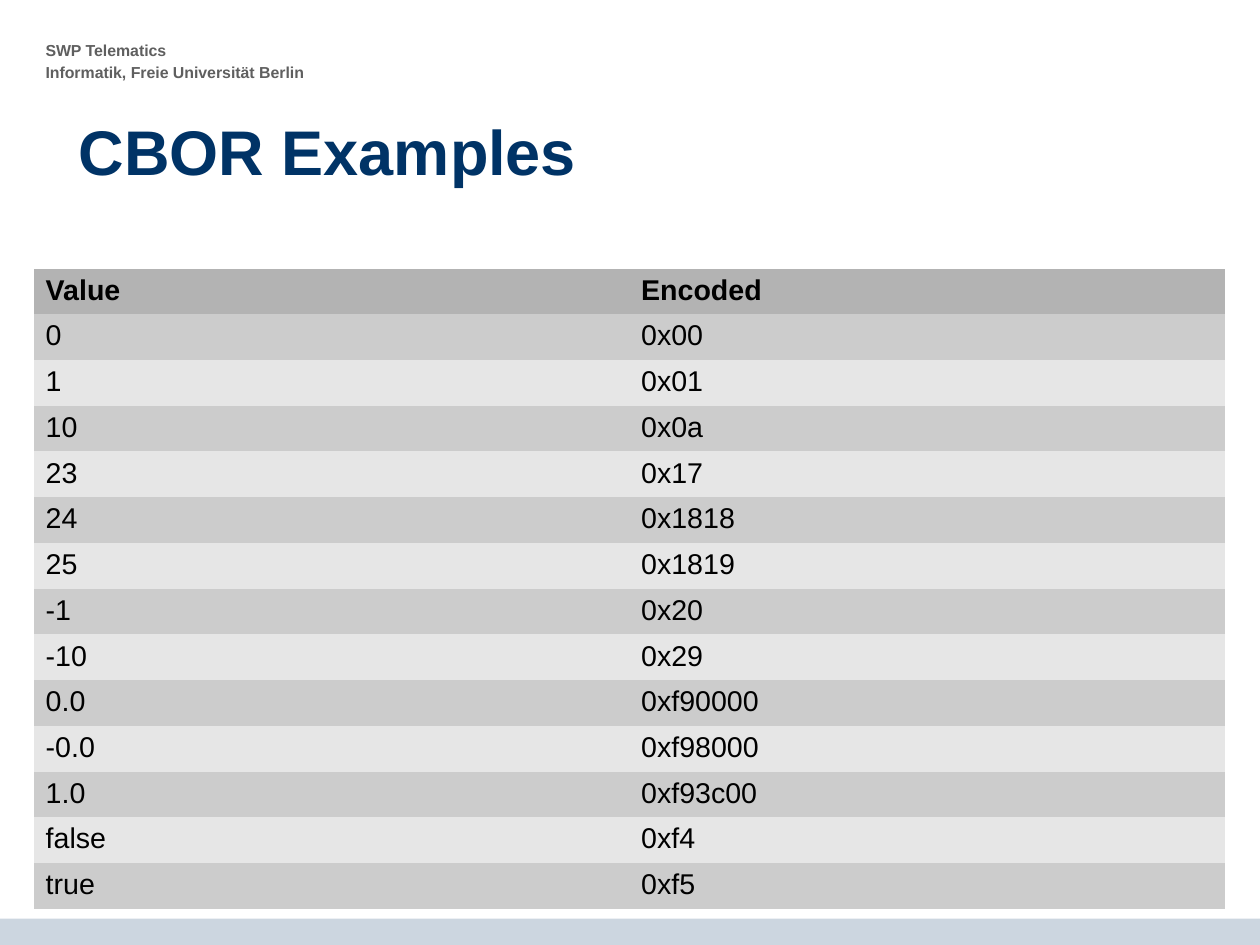
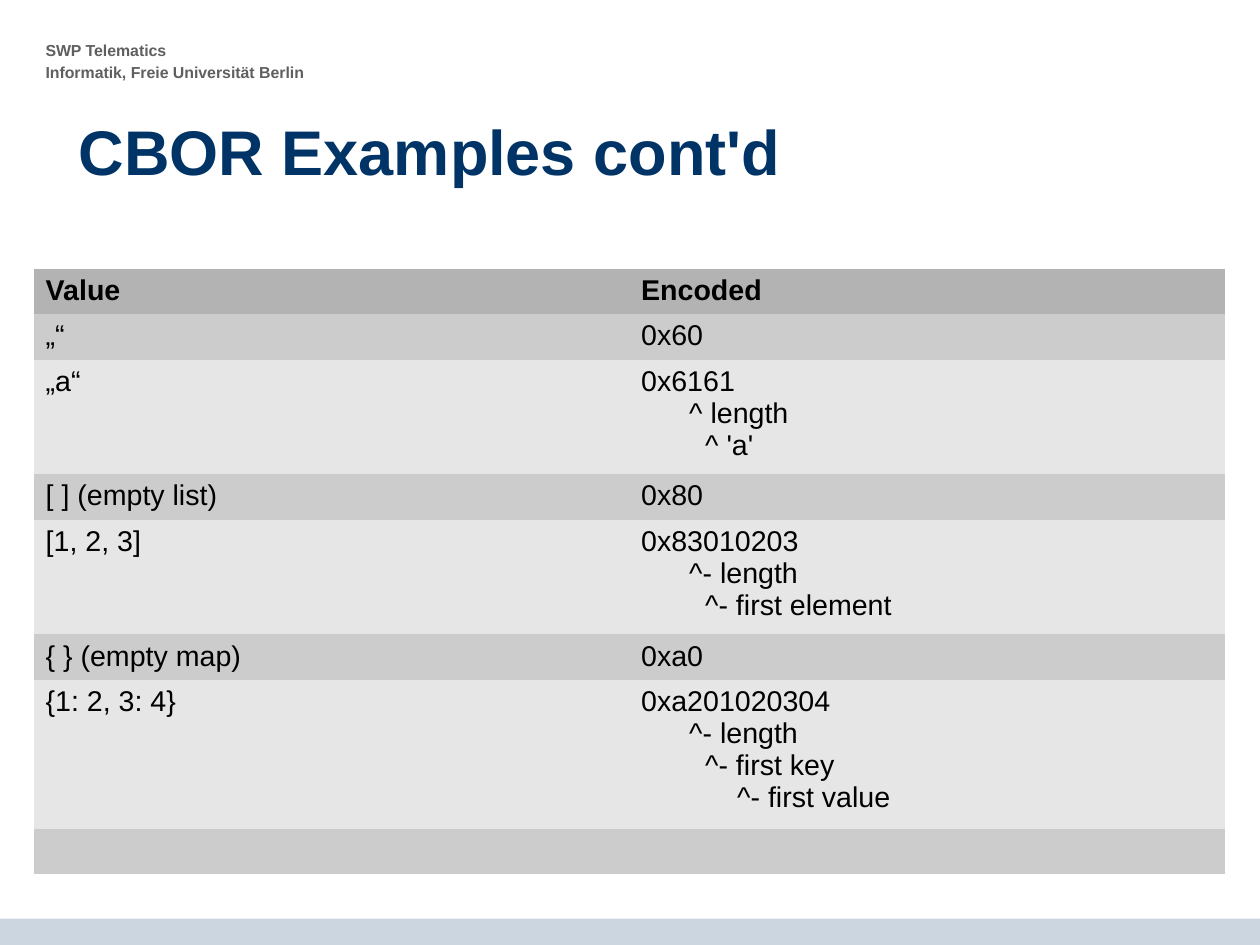
from pptx import Presentation
from pptx.dml.color import RGBColor
from pptx.enum import shapes, text
from pptx.util import Cm, Inches, Pt

FONT = "Arial"
NAVY = RGBColor(0x00, 0x33, 0x66)
GREY = RGBColor(0x5F, 0x5F, 0x5F)
BLACK = RGBColor(0x00, 0x00, 0x00)
BAND_BLUE = RGBColor(0xCC, 0xD6, 0xE0)
HEADER_FILL = RGBColor(0xB3, 0xB3, 0xB3)
ROW_FILLS = RGBColor(0xCC, 0xCC, 0xCC), RGBColor(0xE6, 0xE6, 0xE6)
PLAIN_TABLE_STYLE = "{2D5ABB26-0587-4C30-8999-92F81FD0307C}"

WIDTH, HEIGHT = Cm(28), Cm(21)
MARGIN, CONTENT_WIDTH = 0.3, 10.42
BAND_HEIGHT = Inches(0.23)
TABLE_TOP = 2.35
ROW_HEIGHT, EXTRA_LINE = 0.4, 0.3
INDENT_STEP = 0.14

HEADER_LINES = ["SWP Telematics", "Informatik, Freie Universität Berlin"]
COLUMNS = ("Value", "Encoded")

# Each row: value, encoding, then optional notes as (indent steps, text).
SLIDES = [
    ("CBOR Examples", [
        ("0", "0x00"),
        ("1", "0x01"),
        ("10", "0x0a"),
        ("23", "0x17"),
        ("24", "0x1818"),
        ("25", "0x1819"),
        ("-1", "0x20"),
        ("-10", "0x29"),
        ("0.0", "0xf90000"),
        ("-0.0", "0xf98000"),
        ("1.0", "0xf93c00"),
        ("false", "0xf4"),
        ("true", "0xf5"),
    ]),
    ("CBOR Examples cont'd", [
        ("„“", "0x60"),
        ("„a“", "0x6161", (3, "^ length"), (4, "^ 'a'")),
        ("[ ] (empty list)", "0x80"),
        ("[1, 2, 3]", "0x83010203", (3, "^- length"), (4, "^- first element")),
        ("{ } (empty map)", "0xa0"),
        ("{1: 2, 3: 4}", "0xa201020304",
         (3, "^- length"), (4, "^- first key"), (6, "^- first value")),
        ("", ""),
    ]),
]


def style(paragraph, size, color, bold=False):
    for part in (paragraph, *paragraph.runs):
        part.font.name, part.font.size, part.font.bold = FONT, Pt(size), bold
        part.font.color.rgb = color


def indent(paragraph, inches):
    properties = paragraph._p.get_or_add_pPr()
    properties.set("marL", str(Inches(inches)))
    properties.set("indent", "0")


def add_shared_parts(page):
    """Draw the bottom band and the header, then move them to the page's layout."""
    band = page.shapes.add_shape(
        shapes.MSO_SHAPE.RECTANGLE, 0, HEIGHT - BAND_HEIGHT, WIDTH, BAND_HEIGHT)
    band.shadow.inherit = False
    band.fill.solid()
    band.fill.fore_color.rgb = BAND_BLUE
    band.line.fill.background()

    header = page.shapes.add_textbox(
        Inches(MARGIN), Inches(0.36), Inches(2.49), Inches(0.62))
    frame = header.text_frame
    frame.word_wrap = False
    frame.text = "\n".join(HEADER_LINES)
    for number, paragraph in enumerate(frame.paragraphs):
        paragraph.line_spacing = 0.65
        paragraph.space_before = Pt(6 if number else 0)
        style(paragraph, 10, GREY, bold=True)

    for shape in (band, header):
        page.slide_layout.shapes._spTree.append(shape._element)


def set_title(page, words):
    title = page.shapes.title
    title.left, title.top = Inches(MARGIN), Inches(0.98)
    title.width, title.height = Inches(CONTENT_WIDTH), Inches(0.75)
    frame = title.text_frame
    frame.text = words
    frame.margin_left = frame.margin_right = frame.margin_top = 0
    frame.margin_bottom = Inches(0.08)
    frame.vertical_anchor = text.MSO_ANCHOR.MIDDLE
    frame.auto_size = text.MSO_AUTO_SIZE.NONE
    paragraph = frame.paragraphs[0]
    paragraph.alignment = text.PP_ALIGN.LEFT
    indent(paragraph, 0.39)
    style(paragraph, 39.7, NAVY, bold=True)


def add_examples(page, examples):
    rows = [COLUMNS, *examples]
    heights = [ROW_HEIGHT + EXTRA_LINE * (len(row) - 2) for row in rows]
    table = page.shapes.add_table(
        len(rows), len(COLUMNS), Inches(MARGIN), Inches(TABLE_TOP),
        Inches(CONTENT_WIDTH), Inches(sum(heights))).table
    table._tbl.tblPr.find("{*}tableStyleId").text = PLAIN_TABLE_STYLE

    for number, (value, encoded, *notes) in enumerate(rows):
        table.rows[number].height = Inches(heights[number])
        fill = ROW_FILLS[(number - 1) % 2] if number else HEADER_FILL
        for cell, words in zip(table.rows[number].cells, (value, encoded)):
            cell.text = words
            cell.fill.solid()
            cell.fill.fore_color.rgb = fill
        for steps, note in notes:
            paragraph = cell.text_frame.add_paragraph()
            paragraph.text = note
            indent(paragraph, steps * INDENT_STEP)
        for cell in table.rows[number].cells:
            for paragraph in cell.text_frame.paragraphs:
                style(paragraph, 18, BLACK, bold=number == 0)


def main():
    deck = Presentation()
    deck.slide_width, deck.slide_height = WIDTH, HEIGHT
    title_only = deck.slide_layouts[5]
    for title, examples in SLIDES:
        page = deck.slides.add_slide(title_only)
        set_title(page, title)
        add_examples(page, examples)
    add_shared_parts(page)
    deck.save("out.pptx")


if __name__ == "__main__":
    main()
